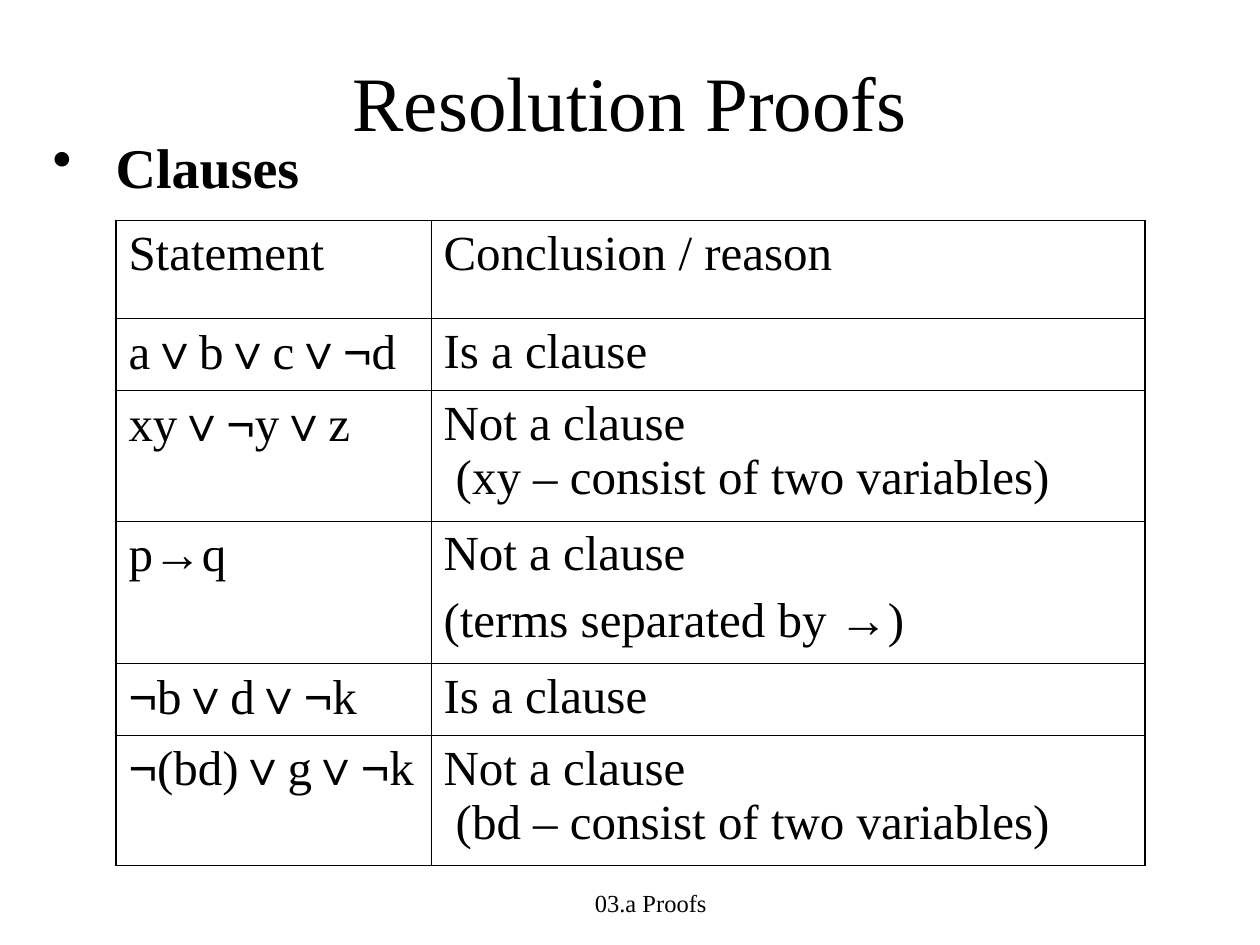
from itertools import groupby

from lxml.etree import SubElement
from pptx import Presentation
from pptx.dml.color import RGBColor
from pptx.enum.text import MSO_ANCHOR, PP_ALIGN
from pptx.oxml.ns import qn
from pptx.util import Inches, Pt

COLORS = {"ink": "000000", "paper": "FFFFFF"}
SYMBOLS = "∨¬→"
COLUMN_WIDTHS = [2.5, 5.67]
ROW_HEIGHTS = [0.78, 0.57, 1.03, 1.13, 0.57, 1.03]
CLAUSE_ROWS = [
    ("Statement", "Conclusion / reason"),
    ("a∨b∨c∨¬d", "Is a clause"),
    ("xy∨¬y∨z", "Not a clause\v (xy – consist of two variables)"),
    ("p→q", "Not a clause\n(terms separated by →)"),
    ("¬b∨d∨¬k", "Is a clause"),
    ("¬(bd)∨g∨¬k", "Not a clause\v (bd – consist of two variables)"),
]


class SlideWriter:
    """Holds the style and the current slide, and adds elements to it."""

    font = "Times New Roman"
    symbol_font = "Arial"
    outer_line = 1.08
    inner_line = 0.45

    def __init__(self, slide):
        self.slide = slide
        slide.background.fill.solid()
        slide.background.fill.fore_color.rgb = RGBColor.from_string(COLORS["paper"])

    def style(self, font, size, name, bold=False):
        font.size, font.name, font.bold = Pt(size), name, bold
        font.color.rgb = RGBColor.from_string(COLORS["ink"])

    def text(self, words, left, top, width, height, size, bold=False,
             align=PP_ALIGN.CENTER, anchor=MSO_ANCHOR.TOP):
        box = self.slide.shapes.add_textbox(
            Inches(left), Inches(top), Inches(width), Inches(height))
        frame = box.text_frame
        frame.word_wrap = True
        frame.vertical_anchor = anchor
        frame.text = words
        paragraph = frame.paragraphs[0]
        paragraph.alignment = align
        self.style(paragraph.runs[0].font, size, self.font, bold)
        return paragraph

    def bullet(self, words, left, top, width, height, size):
        paragraph = self.text(words, left, top, width, height, size,
                              bold=True, align=PP_ALIGN.LEFT)
        properties = paragraph._p.get_or_add_pPr()
        properties.set("marL", str(Inches(0.57)))
        properties.set("indent", str(Inches(-0.5)))
        SubElement(properties, qn("a:buChar"), char="•")

    def cell_text(self, cell, words, size):
        cell.text_frame.text = words
        for index, paragraph in enumerate(cell.text_frame.paragraphs):
            line = paragraph.text
            if any(letter in SYMBOLS for letter in line):
                paragraph.text = ""
                for is_symbol, letters in groupby(line, lambda letter: letter in SYMBOLS):
                    run = paragraph.add_run()
                    run.text = "".join(letters)
                    self.style(run.font, size, self.symbol_font if is_symbol else self.font)
            else:
                for run in paragraph.runs:
                    self.style(run.font, size, self.font)
            if index:
                paragraph.space_before = Pt(7)

    def cell_borders(self, cell, outer_sides):
        properties = cell._tc.get_or_add_tcPr()
        for position, (side, outer) in enumerate(outer_sides.items()):
            width = Pt(self.outer_line if outer else self.inner_line)
            line = SubElement(properties, qn(f"a:ln{side}"), w=str(width))
            fill = SubElement(line, qn("a:solidFill"))
            SubElement(fill, qn("a:srgbClr"), val=COLORS["ink"])
            properties.insert(position, line)

    def table(self, rows, left, top, widths, heights, size):
        table = self.slide.shapes.add_table(
            len(rows), len(widths), Inches(left), Inches(top),
            Inches(sum(widths)), Inches(sum(heights))).table
        table.first_row = table.horz_banding = False
        for column, width in zip(table.columns, widths):
            column.width = Inches(width)
        for row, height in zip(table.rows, heights):
            row.height = Inches(height)
        for r, row in enumerate(rows):
            for c, words in enumerate(row):
                cell = table.cell(r, c)
                cell.fill.background()
                self.cell_text(cell, words, size)
                self.cell_borders(cell, {
                    "L": c == 0, "R": c == len(row) - 1,
                    "T": r == 0, "B": r == len(rows) - 1})


def main():
    presentation = Presentation()
    presentation.slide_width, presentation.slide_height = Inches(10), Inches(7.5)
    writer = SlideWriter(presentation.slides.add_slide(presentation.slide_layouts[6]))
    writer.text("Resolution Proofs", 0.75, 0.17, 8.5, 1.25, 44, anchor=MSO_ANCHOR.MIDDLE)
    writer.bullet("Clauses", 0.25, 1, 9.5, 0.92, 32)
    writer.text("03.a Proofs", 3.58, 7, 3.17, 0.5, 14)
    writer.table(CLAUSE_ROWS, 0.92, 1.75, COLUMN_WIDTHS, ROW_HEIGHTS, 28)
    presentation.save("out.pptx")


if __name__ == "__main__":
    main()
